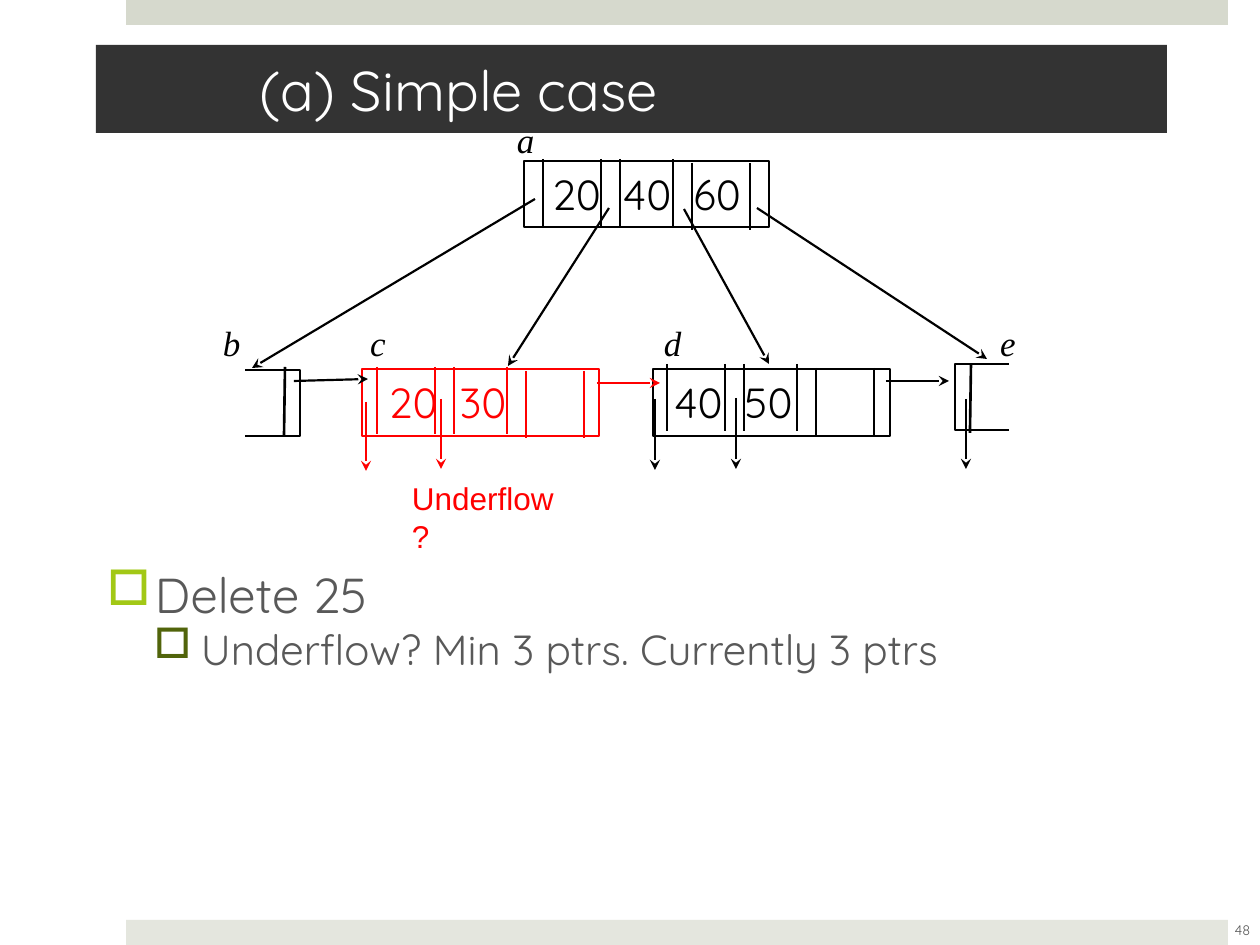
from pptx import Presentation
from pptx.dml.color import RGBColor
from pptx.enum.shapes import MSO_CONNECTOR, MSO_SHAPE
from pptx.enum.text import MSO_ANCHOR, PP_ALIGN
from pptx.oxml.ns import qn
from pptx.util import Pt
from lxml.etree import SubElement

BLACK = RGBColor(0, 0, 0)
RED = RGBColor(255, 0, 0)
WHITE = RGBColor(255, 255, 255)
CHARCOAL = RGBColor(0x33, 0x33, 0x33)
GREY = RGBColor(0x59, 0x59, 0x59)
TOP_BAR = RGBColor(0xD6, 0xD9, 0xCD)
BOTTOM_BAR = RGBColor(0xE4, 0xE6, 0xDE)
LIME = RGBColor(0xA2, 0xC8, 0x16)
OLIVE = RGBColor(0x51, 0x64, 0x0B)

PX = 914400 / 126
INSETS = (13, 6, 13, 6)

BARS = [((126, 0, 1102, 25), TOP_BAR), ((126, 920, 1102, 25), BOTTOM_BAR)]
TITLE = "(a) Simple case"
PAGE_NUMBER = "48"
BULLETS = [
    ("Delete 25", 28, 0, 48, -48, 20, LIME),
    ("Underflow? Min 3 ptrs. Currently 3 ptrs", 24, 1, 94, -47, 6, OLIVE),
]

NODES = [
    {"keys": ["20", "40", "60"], "box": (524, 161, 245, 66),
     "key_box": (524, 161, 245, 66), "separator": (543, 159), "color": BLACK},
    {"keys": ["20", "30"], "box": (362, 369, 237, 67),
     "key_box": (375, 370, 145, 63), "separator": (377, 367), "color": RED},
    {"keys": ["40", "50"], "box": (653, 369, 237, 67),
     "key_box": (661, 370, 145, 64), "separator": (667, 364), "color": BLACK},
]
SEPARATORS = [(0, 0), (58, 0), (77, 0), (130, 0), (149, 4), (207, 4)]
SEPARATOR_HEIGHT = 67

CUT_NODES = [
    ([(245, 370), (300, 370), (300, 436), (245, 436)], (285, 367, 284, 436)),
    ([(1009, 430), (955, 430), (955, 364), (1009, 364)], (971, 364, 970, 433)),
]

CHILD_POINTERS = [
    (535, 199, 252, 368), (609, 208, 508, 366),
    (684, 209, 769, 364), (757, 208, 987, 359),
]
SIBLING_POINTERS = [
    (294, 381, 368, 379, BLACK), (597, 383, 660, 383, RED), (886, 381, 949, 381, BLACK),
]
RECORD_POINTERS = [
    (366, 402, 471, RED), (441, 399, 469, RED), (655, 399, 470, BLACK),
    (736, 398, 469, BLACK), (966, 399, 469, BLACK),
]
NODE_NAMES = [("a", 504, 112), ("b", 210, 315), ("c", 357, 315),
              ("d", 651, 315), ("e", 987, 315)]


def emu(*lengths):
    return [round(length * PX) for length in lengths]


def add_box(box, fill=None, line=None):
    shape = slide.shapes.add_shape(MSO_SHAPE.RECTANGLE, *emu(*box))
    shape.shadow.inherit = False
    if fill is None:
        shape.fill.background()
    else:
        shape.fill.solid()
        shape.fill.fore_color.rgb = fill
    if line is None:
        shape.line.fill.background()
    else:
        shape.line.color.rgb = line
        shape.line.width = Pt(1.5)
    return shape


def add_line(x1, y1, x2, y2, color, arrow=False):
    line = slide.shapes.add_connector(MSO_CONNECTOR.STRAIGHT, *emu(x1, y1, x2, y2))
    line.line.color.rgb = color
    line.line.width = Pt(1.25 if arrow else 1.5)
    if arrow:
        SubElement(line.line._get_or_add_ln(), qn("a:tailEnd"), type="stealth")
    SubElement(line._element.spPr, qn("a:effectLst"))


def add_run(paragraph, text, size, color, font="Quicksand", italic=False):
    run = paragraph.add_run()
    run.text = text
    run.font.size = Pt(size)
    run.font.name = font
    run.font.color.rgb = color
    run.font.italic = italic
    return run


def set_frame(shape, wrap=False, anchor=MSO_ANCHOR.TOP, align=PP_ALIGN.LEFT, insets=INSETS):
    frame = shape.text_frame
    frame.word_wrap = wrap
    frame.vertical_anchor = anchor
    (frame.margin_left, frame.margin_top,
     frame.margin_right, frame.margin_bottom) = emu(*insets)
    frame.paragraphs[0].alignment = align
    return frame


def add_text(box, text, size, color, font="Quicksand", italic=False, **layout):
    frame = set_frame(slide.shapes.add_textbox(*emu(*box)), **layout)
    add_run(frame.paragraphs[0], text, size, color, font, italic)


def add_node(node):
    color = node["color"]
    add_box(node["box"], line=color)
    x, y = node["separator"]
    for dx, dy in SEPARATORS:
        add_line(x + dx, y + dy, x + dx, y + dy + SEPARATOR_HEIGHT, color)
    key_box = slide.shapes.add_textbox(*emu(*node["key_box"]))
    frame = set_frame(key_box, anchor=MSO_ANCHOR.MIDDLE, align=PP_ALIGN.CENTER)
    for position, key in enumerate(node["keys"]):
        if position:
            gap = add_run(frame.paragraphs[0], " ", 24, color)
            gap.font._element.set("spc", "600")
        add_run(frame.paragraphs[0], key, 24, color)


def add_cut_node(outline, divider):
    points = [emu(*point) for point in outline]
    builder = slide.shapes.build_freeform(*points[0])
    builder.add_line_segments(points[1:], close=False)
    edge = builder.convert_to_shape()
    edge.shadow.inherit = False
    edge.fill.background()
    edge.line.color.rgb = BLACK
    edge.line.width = Pt(1.5)
    add_line(*divider, BLACK)


def add_bullets():
    frame = set_frame(slide.shapes.add_textbox(*emu(94, 570, 1071, 271)), wrap=True)
    for position, (text, size, level, margin, indent, before, color) in enumerate(BULLETS):
        paragraph = frame.add_paragraph() if position else frame.paragraphs[0]
        paragraph.level = level
        paragraph.line_spacing = 0.8
        paragraph.space_before = Pt(before)
        properties = paragraph._p.get_or_add_pPr()
        left, hang = emu(margin, indent)
        properties.set("marL", str(left))
        properties.set("indent", str(hang))
        bullet_color = SubElement(properties, qn("a:buClr"))
        SubElement(bullet_color, qn("a:srgbClr"), val=str(color))
        SubElement(properties, qn("a:buChar"), char="□")
        add_run(paragraph, text, size, GREY)


presentation = Presentation()
presentation.slide_width, presentation.slide_height = emu(1260, 945)
slide = presentation.slides.add_slide(presentation.slide_layouts[6])

for bar, fill in BARS:
    add_box(bar, fill)
add_text((1211, 905, 63, 50), PAGE_NUMBER, 8, GREY, wrap=True,
         anchor=MSO_ANCHOR.MIDDLE, align=PP_ALIGN.CENTER)
heading = set_frame(add_box((96, 45, 1071, 88), CHARCOAL), wrap=True,
                    anchor=MSO_ANCHOR.MIDDLE, insets=(164, 6, 38, 6))
add_run(heading.paragraphs[0], TITLE, 32, WHITE)
add_bullets()

for node in NODES:
    add_node(node)
for outline, divider in CUT_NODES:
    add_cut_node(outline, divider)
for pointer in CHILD_POINTERS:
    add_line(*pointer, BLACK, arrow=True)
for pointer in SIBLING_POINTERS:
    add_line(*pointer, arrow=True)
for x, top, bottom, color in RECORD_POINTERS:
    add_line(x, top, x, bottom, color, arrow=True)
for name, x, y in NODE_NAMES:
    add_text((x, y, 42, 54), name, 20, BLACK, "Times New Roman", italic=True)
add_text((399, 473, 185, 50), "Underflow?", 18, RED, "Arial")

presentation.save("out.pptx")
